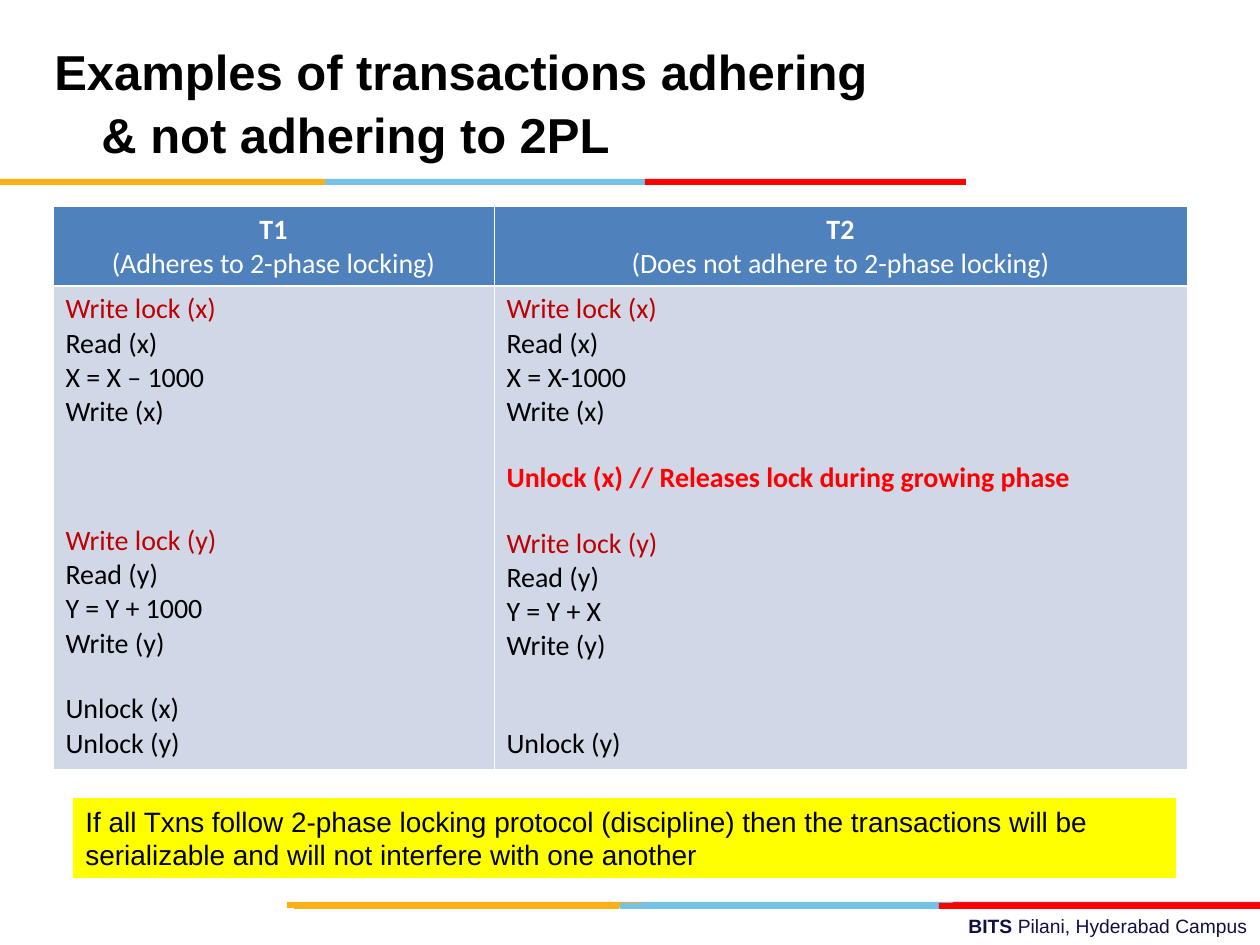
import pptx
import pptx.dml.color
import pptx.enum.shapes
import pptx.enum.text
import pptx.oxml.ns
import pptx.util
from lxml import etree

PX_PER_INCH = 126
COLORS = {
    "white": "FFFFFF", "black": "000000", "navy": "101141",
    "amber": "FCB017", "sky": "76C2E5", "crimson": "E31C24", "red": "FF0000",
    "header": "4F81BD", "body": "D0D8E8", "lock": "C00000", "note": "FFFF00",
}
ALIGN = pptx.enum.text.PP_ALIGN
ANCHOR = pptx.enum.text.MSO_ANCHOR
BLANK_LINE = 18  # points left open for each empty step


def px(value):
    return round(value * 914400 / PX_PER_INCH)


def color(name):
    return pptx.dml.color.RGBColor.from_string(COLORS[name])


class SlideBuilder:
    heading_font = "Arial"
    table_font = "Calibri"
    thin, thick = 0.45, 1.47

    def __init__(self, slide):
        self.slide = slide

    def style(self, paragraph, font, size, ink, bold=False):
        paragraph.font.name = font
        paragraph.font.size = pptx.util.Pt(size)
        paragraph.font.bold = bold
        paragraph.font.color.rgb = color(ink)

    def text(self, left, top, width, height):
        box = self.slide.shapes.add_textbox(px(left), px(top), px(width), px(height))
        box.text_frame.word_wrap = True
        return box.text_frame

    def rectangle(self, left, top, width, height, fill):
        shape = self.slide.shapes.add_shape(
            pptx.enum.shapes.MSO_SHAPE.RECTANGLE,
            px(left), px(top), px(width), px(height))
        shape.shadow.inherit = False
        shape.fill.solid()
        shape.fill.fore_color.rgb = color(fill)
        shape.line.fill.background()
        return shape

    def stripe(self, top, bars):
        for left, width, fill in bars:
            self.rectangle(left, top, width, 6, fill)

    def borders(self, cell, top, bottom):
        properties = cell._tc.get_or_add_tcPr()
        widths = {"L": self.thin, "R": self.thin, "T": top, "B": bottom}
        for side, width in widths.items():
            line = etree.SubElement(properties, pptx.oxml.ns.qn(f"a:ln{side}"),
                                    w=str(pptx.util.Pt(width)))
            fill = etree.SubElement(line, pptx.oxml.ns.qn("a:solidFill"))
            etree.SubElement(fill, pptx.oxml.ns.qn("a:srgbClr"), val=COLORS["white"])

    def cell(self, cell, fill, lines, align):
        cell.fill.solid()
        cell.fill.fore_color.rgb = color(fill)
        frame = cell.text_frame
        for index, (text, ink, bold, blanks) in enumerate(lines):
            paragraph = frame.add_paragraph() if index else frame.paragraphs[0]
            paragraph.text = text
            paragraph.alignment = align
            if blanks:
                paragraph.space_before = pptx.util.Pt(blanks * BLANK_LINE)
            self.style(paragraph, self.table_font, 16, ink, bold)

    def table(self, left, top, widths, heights, columns):
        table = self.slide.shapes.add_table(
            len(heights), len(widths), px(left), px(top),
            px(sum(widths)), px(sum(heights))).table
        table.horz_banding = False
        for row, height in zip(table.rows, heights):
            row.height = px(height)
        for index, (width, (head, steps)) in enumerate(zip(widths, columns)):
            table.columns[index].width = px(width)
            header, body = table.cell(0, index), table.cell(1, index)
            self.borders(header, self.thin, self.thick)
            self.borders(body, self.thick, self.thin)
            self.cell(header, "header", head, ALIGN.CENTER)
            self.cell(body, "body", steps, ALIGN.LEFT)


def heading(name, remark):
    return [(name, "white", True, 0), (remark, "white", False, 0)]


def step(text, ink="black", bold=False, blanks=0):
    return text, ink, bold, blanks


def main():
    presentation = pptx.Presentation()
    presentation.slide_width = px(1260)
    presentation.slide_height = px(945)
    slide = presentation.slides.add_slide(presentation.slide_layouts[6])
    builder = SlideBuilder(slide)

    # Footer
    paragraph = builder.text(451, 908, 809, 37).paragraphs[0]
    paragraph.alignment = ALIGN.RIGHT
    builder.style(paragraph, builder.heading_font, 11, "navy")
    school = paragraph.add_run()
    school.text = "BITS "
    school.font.bold = True
    paragraph.add_run().text = "Pilani, Hyderabad Campus"

    # Coloured stripes
    builder.stripe(902, [(638, 321, "sky"), (953, 307, "crimson"), (287, 355, "amber")])
    builder.stripe(903, [(620, 321, "sky"), (294, 325, "amber"), (939, 321, "red")])
    builder.stripe(179, [(325, 321, "sky"), (0, 325, "amber"), (645, 321, "red")])

    # Transactions side by side
    first = [
        step("Write lock (x)", "lock"), step("Read (x)"),
        step("X = X – 1000"), step("Write (x)"),
        step("Write lock (y)", "lock", blanks=3), step("Read (y)"),
        step("Y = Y + 1000"), step("Write (y)"),
        step("Unlock (x)", blanks=1), step("Unlock (y)"),
    ]
    second = [
        step("Write lock (x)", "lock"), step("Read (x)"),
        step("X = X-1000"), step("Write (x)"),
        step("Unlock (x) // Releases lock during growing phase", "red", True, 1),
        step("Write lock (y)", "lock", blanks=1), step("Read (y)"),
        step("Y = Y + X"), step("Write (y)"),
        step("Unlock (y)", blanks=2),
    ]
    builder.table(53, 206, [441, 693], [80, 483], [
        (heading("T1", "(Adheres to 2-phase locking)"), first),
        (heading("T2", "(Does not adhere to 2-phase locking)"), second),
    ])

    # Title with hanging indent
    frame = builder.text(42, 21, 872, 158)
    frame.vertical_anchor = ANCHOR.MIDDLE
    paragraph = frame.paragraphs[0]
    paragraph.text = "Examples of transactions adhering & not adhering to 2PL"
    paragraph.line_spacing = pptx.util.Pt(36)
    properties = paragraph._p.get_or_add_pPr()
    properties.set("marL", str(px(47)))
    properties.set("indent", str(px(-47)))
    builder.style(paragraph, builder.heading_font, 28, "black", True)

    # Conclusion
    note = builder.rectangle(73, 798, 1103, 80, "note")
    note.text_frame.word_wrap = True
    note.text_frame.vertical_anchor = ANCHOR.TOP
    paragraph = note.text_frame.paragraphs[0]
    paragraph.text = ("If all Txns follow 2-phase locking protocol (discipline) then the "
                      "transactions will be serializable and will not interfere with "
                      "one another")
    paragraph.alignment = ALIGN.LEFT
    builder.style(paragraph, builder.heading_font, 16, "black")

    presentation.save("out.pptx")


if __name__ == "__main__":
    main()
